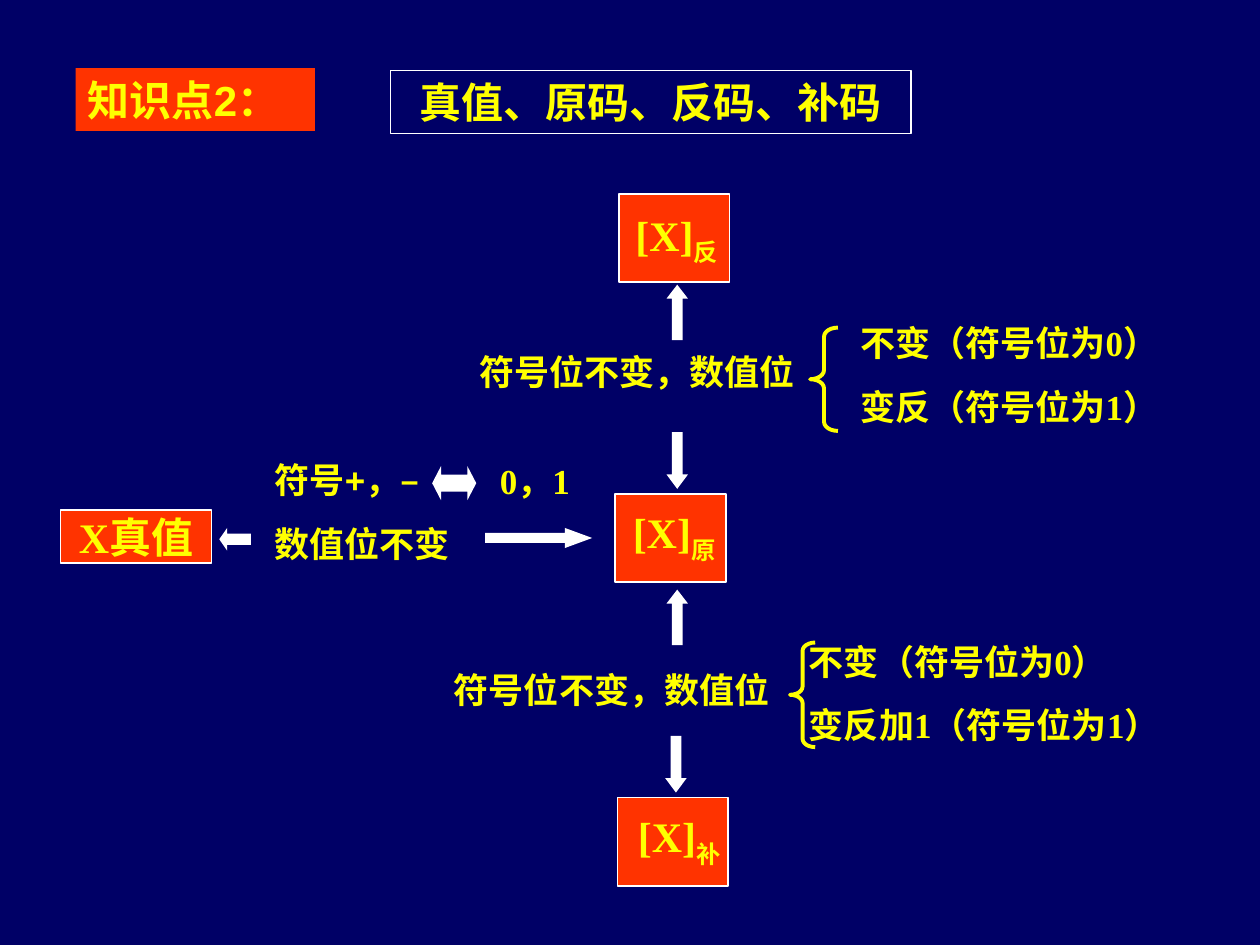
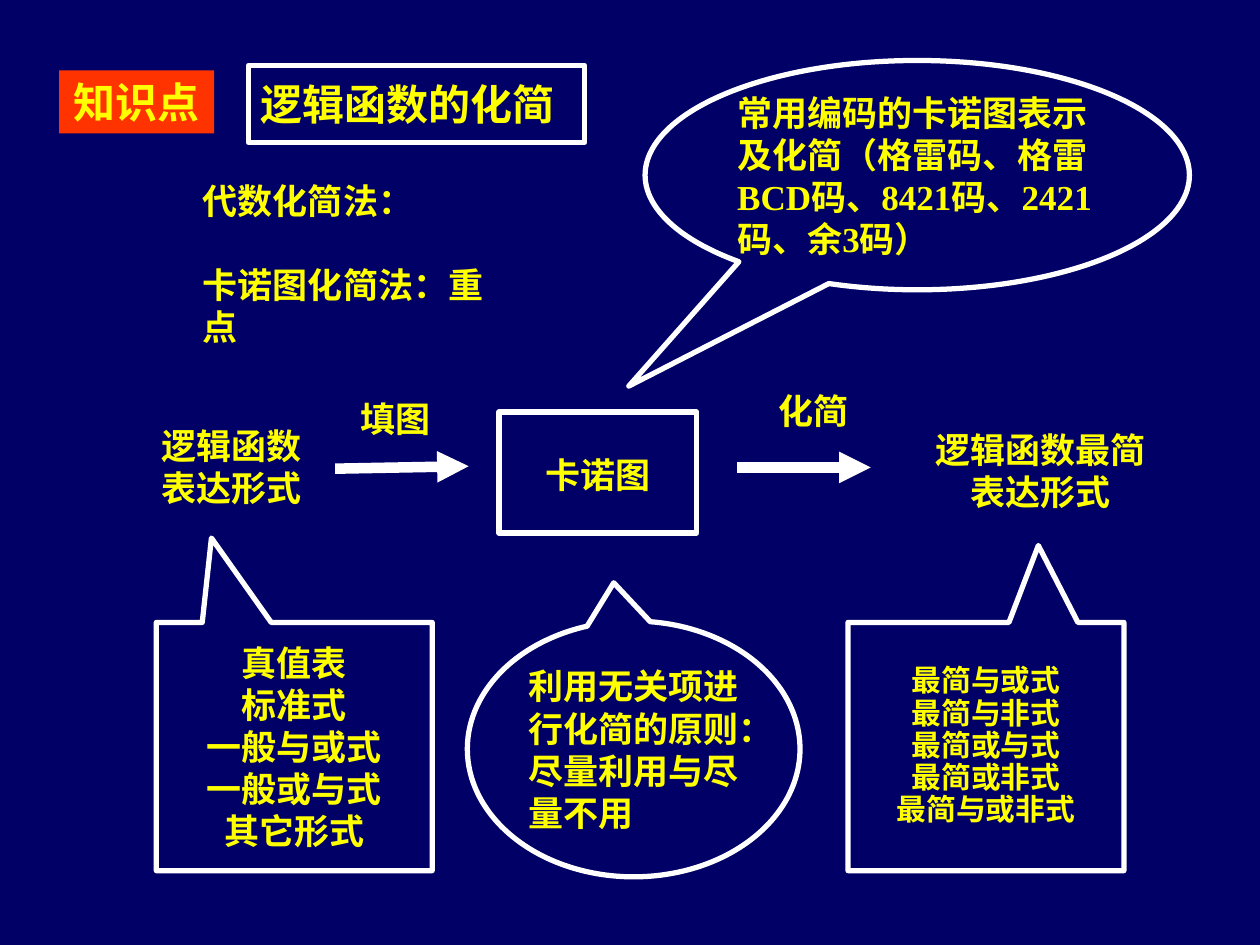
"""Build two review slides: number codes and simplifying logic functions."""
from lxml import etree
from pptx import Presentation
from pptx.dml.color import RGBColor
from pptx.enum import shapes as kinds, text as t
from pptx.oxml.ns import qn
from pptx.util import Inches, Pt

NAVY = RGBColor(0x00, 0x00, 0x66)
RED = RGBColor(0xFF, 0x33, 0x00)
YELLOW = RGBColor(0xFF, 0xFF, 0x00)
WHITE = RGBColor(0xFF, 0xFF, 0xFF)
SANS, SERIF = "Arial", "Times New Roman"
LEFT, CENTER = t.PP_ALIGN.LEFT, t.PP_ALIGN.CENTER
SHAPE = kinds.MSO_SHAPE
ROOMY, TIGHT = (0.1, 0.05), (0.02, 0.01)


def draw(page, kind, at, fill=None, line=None, width=1, adjust=()):
    """Add a preset shape, or a text box when kind is None."""
    place = [Inches(length) for length in at]
    if kind is None:
        return page.shapes.add_textbox(*place)
    box = page.shapes.add_shape(kind, *place)
    box.shadow.inherit = False
    for number, value in enumerate(adjust):
        box.adjustments[number] = value
    if fill is None:
        box.fill.background()
    else:
        box.fill.solid()
        box.fill.fore_color.rgb = fill
    if line is None:
        box.line.fill.background()
    else:
        box.line.color.rgb = line
        box.line.width = Pt(width)
    return box


def write(box, lines, size=20, font=SERIF, align=CENTER, wrap=True, inset=ROOMY, gap=0, spacing=1):
    """Fill a box with bold yellow paragraphs; "_" starts a subscript."""
    frame = box.text_frame
    frame.auto_size = t.MSO_AUTO_SIZE.NONE
    frame.word_wrap = wrap
    frame.vertical_anchor = t.MSO_ANCHOR.MIDDLE
    frame.margin_left = frame.margin_right = Inches(inset[0])
    frame.margin_top = frame.margin_bottom = Inches(inset[1])
    for number, line in enumerate(lines):
        para = frame.add_paragraph() if number else frame.paragraphs[0]
        para.alignment = align
        para.line_spacing = spacing
        para.space_before = Pt(gap if number else 0)
        if box.is_placeholder:
            props = para._p.get_or_add_pPr()
            props.set("marL", "0")
            props.set("indent", "0")
            etree.SubElement(props, qn("a:buNone"))
        para.font.name = font
        para.font.size = Pt(size)
        para.font.bold = True
        para.font.color.rgb = YELLOW
        base, _, subscript = line.partition("_")
        para.add_run().text = base
        if subscript:
            span = para.add_run()
            span.text = subscript
            span._r.get_or_add_rPr().set("baseline", "-25000")


deck = Presentation()
deck.slide_width, deck.slide_height = Inches(10), Inches(7.5)
deck.slide_master.background.fill.solid()
deck.slide_master.background.fill.fore_color.rgb = NAVY

headings = [
    (5, "知识点2：", LEFT, (0.6, 0.54, 1.9, 0.5),
     "真值、原码、反码、补码", SANS, CENTER, (3.1, 0.56, 4.13, 0.5), 0.75),
    (1, "知识点", CENTER, (0.47, 0.56, 1.23, 0.5),
     "逻辑函数的化简", SERIF, LEFT, (1.97, 0.52, 2.67, 0.61), 3),
]
pages = []
for layout, tag, tag_align, tag_at, heading, font, align, at, width in headings:
    page = deck.slides.add_slide(deck.slide_layouts[layout])
    title = page.shapes.title
    title.left, title.top, title.width, title.height = [Inches(length) for length in at]
    title.line.color.rgb = WHITE
    title.line.width = Pt(width)
    write(title, [heading], 24, font, align, wrap=False)
    write(draw(page, SHAPE.RECTANGLE, tag_at, RED), [tag], 24, SANS, tag_align)
    pages.append(page)
codes, logic = pages

code_boxes = [
    ("[X]_反", (4.91, 1.54), (4.88, 1.65)),
    ("[X]_原", (4.88, 3.92), (4.86, 4.01)),
    ("[X]_补", (4.9, 6.33), (4.9, 6.42)),
]
for label, corner, label_corner in code_boxes:
    draw(codes, SHAPE.RECTANGLE, (*corner, 0.88, 0.7), RED, WHITE)
    write(draw(codes, None, (*label_corner, 0.98, 0.48)), [label], 24, inset=TIGHT)
true_value = draw(codes, SHAPE.RECTANGLE, (0.48, 4.05, 1.2, 0.42), RED, WHITE)
write(true_value, ["X真值"], 24, inset=TIGHT, wrap=False)

rules = [
    (["符号+，–", "数值位不变"], (2.16, 3.63, 1.43, 0.86), SANS, LEFT),
    (["0，1"], (3.88, 3.63, 0.73, 0.36), SERIF, CENTER),
    (["符号位不变，数值位"], (3.78, 2.77, 2.55, 0.36), SERIF, CENTER),
    (["不变（符号位为0）", "变反（符号位为1）"], (6.74, 2.54, 2.54, 0.86), SERIF, CENTER),
    (["符号位不变，数值位"], (3.58, 5.29, 2.55, 0.36), SERIF, CENTER),
    (["不变（符号位为0）", "变反加1（符号位为1）"], (6.4, 5.07, 3.09, 0.86), SERIF, LEFT),
]
for lines, at, font, align in rules:
    write(draw(codes, None, at), lines, 20, font, align, False, TIGHT, 12.5)

arrows = [
    (SHAPE.LEFT_RIGHT_ARROW, (3.43, 3.7, 0.35, 0.27), 0.26),
    (SHAPE.LEFT_ARROW, (1.74, 4.19, 0.25, 0.18), 0.35),
    (SHAPE.RIGHT_ARROW, (3.85, 4.19, 0.85, 0.16), 1.36),
    (SHAPE.UP_ARROW, (5.29, 2.26, 0.17, 0.44), 0.65),
    (SHAPE.DOWN_ARROW, (5.29, 3.43, 0.17, 0.45), 0.67),
    (SHAPE.UP_ARROW, (5.29, 4.68, 0.17, 0.44), 0.65),
    (SHAPE.DOWN_ARROW, (5.28, 5.84, 0.17, 0.45), 0.67),
]
for kind, at, head in arrows:
    draw(codes, kind, at, WHITE, adjust=(0.5, head))
for at in [(6.43, 2.6, 0.22, 0.82), (6.27, 5.1, 0.2, 0.83)]:
    draw(codes, SHAPE.LEFT_BRACE, at, line=YELLOW, width=2.25, adjust=(0.33, 0.5))

methods = logic.placeholders[1]
methods.left, methods.top, methods.width, methods.height = [
    Inches(length) for length in (1.51, 1.64, 2.66, 0.91)]
write(methods, ["代数化简法：", "卡诺图化简法：重点"], align=LEFT, wrap=False, gap=24)

draw(logic, SHAPE.RECTANGLE, (3.96, 3.27, 1.57, 0.96), line=WHITE, width=3)
steps = [
    ("卡诺图", (4.15, 3.51, 1.19, 0.51), False),
    ("逻辑函数表达形式", (1.08, 3.32, 1.51, 0.77), True),
    ("填图", (2.76, 3.15, 0.76, 0.34), False),
    ("化简", (6.08, 3.09, 0.76, 0.34), False),
    ("逻辑函数最简表达形式", (7.29, 3.35, 1.94, 0.77), True),
]
for label, at, wrap in steps:
    write(draw(logic, None, at), [label], wrap=wrap)

for ends in [(2.66, 3.72, 3.72, 3.7), (5.85, 3.71, 6.91, 3.71)]:
    arrow = logic.shapes.add_connector(
        kinds.MSO_CONNECTOR.STRAIGHT, *[Inches(length) for length in ends])
    arrow.line.color.rgb = WHITE
    arrow.line.width = Pt(6)
    etree.SubElement(arrow.line._get_or_add_ln(), qn("a:tailEnd"), type="triangle")
    etree.SubElement(arrow._element.spPr, qn("a:effectLst"))

callouts = [
    (SHAPE.RECTANGULAR_CALLOUT, (1.24, 4.94, 2.19, 1.97), (-0.3, -0.84), 20, CENTER, 1,
     ["真值表", "标准式", "一般与或式", "一般或与式", "其它形式"]),
    (SHAPE.RECTANGULAR_CALLOUT, (6.73, 4.94, 2.19, 1.97), (0.19, -0.81), 17, CENTER, 0.9,
     ["最简与或式", "最简与非式", "最简或与式", "最简或非式", "最简与或非式"]),
    (SHAPE.OVAL_CALLOUT, (3.71, 4.93, 2.64, 2.03), (-0.06, -0.65), 20, LEFT, 1,
     ["利用无关项进行化简的原则：尽量利用与尽量不用"]),
    (SHAPE.OVAL_CALLOUT, (5.12, 0.48, 4.32, 1.82), (-0.53, 0.92), 20, LEFT, 1,
     ["常用编码的卡诺图表示及化简（格雷码、格雷BCD码、8421码、2421码、余3码）"]),
]
for kind, at, tip, size, align, spacing, lines in callouts:
    callout = draw(logic, kind, at, line=WHITE, width=3, adjust=tip)
    write(callout, lines, size, align=align, spacing=spacing)

deck.save("out.pptx")
